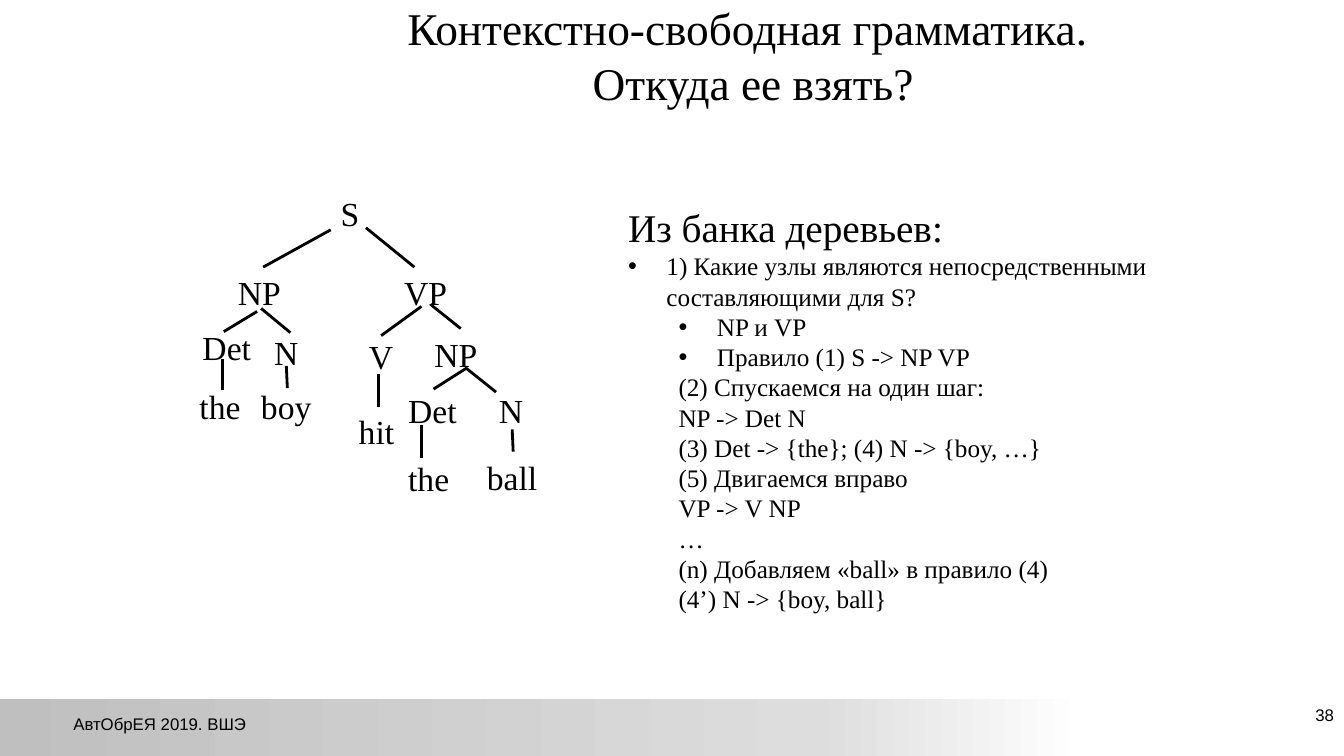
from lxml import etree
from pptx import Presentation
from pptx.dml.color import RGBColor
from pptx.enum import shapes, text
from pptx.oxml import ns
from pptx.util import Inches, Pt

COLORS = {"ink": "000000", "bar_dark": "BFBFBF", "bar_mid": "DDDDDD", "bar_light": "FFFFFF"}
SERIF, SANS = "Times New Roman", "Arial"
TITLE = "Контекстно-свободная грамматика. \vОткуда ее взять?"
FOOTER, PAGE = "АвтОбрЕЯ 2019. ВШЭ", "38"

# style name: level, left margin, first-line indent, bullet, size
STYLES = {
    "heading": (0, 0, 0, False, 28),
    "question": (0, 0.38, -0.38, True, 18),
    "answer": (1, 0.88, -0.38, True, 18),
    "step": (1, 0.5, 0, False, 18),
}
BODY = [
    ("heading", "Из банка деревьев:"),
    ("question", "1) Какие узлы являются непосредственными составляющими для S?"),
    ("answer", "NP и VP"),
    ("answer", "Правило (1) S -> NP VP"),
    ("step", "(2) Спускаемся на один шаг:"),
    ("step", "NP -> Det N"),
    ("step", "(3) Det -> {the}; (4) N -> {boy, …}"),
    ("step", "(5) Двигаемся вправо"),
    ("step", "VP -> V NP"),
    ("step", "…"),
    ("step", "(n) Добавляем «ball» в правило (4)"),
    ("step", "(4’) N -> {boy, ball}"),
]

# label, left, top, width
NODES = [
    ("S", 3.28, 1.86, 0.47),
    ("NP", 2.26, 2.65, 0.71), ("VP", 3.91, 2.65, 0.71),
    ("Det", 1.91, 3.19, 0.71), ("N", 2.62, 3.24, 0.59),
    ("V", 3.56, 3.28, 0.71), ("NP", 4.21, 3.26, 0.71),
    ("the", 1.88, 3.78, 0.75), ("boy", 2.49, 3.78, 0.73),
    ("hit", 3.46, 4.03, 1.1),
    ("Det", 3.95, 3.82, 0.71), ("N", 4.85, 3.82, 0.59),
    ("the", 3.95, 4.49, 0.75), ("ball", 4.73, 4.48, 0.71),
]
# parent end, child end
BRANCHES = [
    ((3.28, 2.28), (2.61, 2.65)), ((3.63, 2.26), (4.11, 2.65)),
    ((2.55, 3.09), (2.22, 3.29)), ((2.59, 3.06), (2.88, 3.3)),
    ((4.18, 3.04), (3.78, 3.33)), ((4.27, 3.02), (4.57, 3.26)),
    ((4.63, 3.65), (4.3, 3.86)), ((4.62, 3.65), (4.92, 3.89)),
    ((2.21, 3.56), (2.21, 3.87)), ((2.84, 3.63), (2.85, 3.85)),
    ((3.75, 3.71), (3.75, 4.04)),
    ((4.18, 4.22), (4.18, 4.54)), ((5.08, 4.26), (5.09, 4.48)),
]
NODE_HEIGHT = 0.51


def color(name):
    return RGBColor.from_string(COLORS[name])


def place(shape, left, top, width, height):
    shape.left, shape.top = Inches(left), Inches(top)
    shape.width, shape.height = Inches(width), Inches(height)


def format_paragraph(paragraph, size, font, align=text.PP_ALIGN.LEFT):
    paragraph.alignment = align
    paragraph.space_before = Pt(0)
    for run in paragraph.runs:
        run.font.size, run.font.name = Pt(size), font
        run.font.color.rgb = color("ink")


def add_label(slide, words, box, size, font, align=text.PP_ALIGN.LEFT,
              anchor=text.MSO_ANCHOR.TOP):
    label = slide.shapes.add_textbox(*map(Inches, box))
    frame = label.text_frame
    frame.word_wrap = True
    frame.vertical_anchor = anchor
    frame.text = words
    format_paragraph(frame.paragraphs[0], size, font, align)


def add_footer_bar(slide):
    bar = slide.shapes.add_shape(shapes.MSO_SHAPE.RECTANGLE,
                                 *map(Inches, (-0.03, 6.93, 10.79, 0.58)))
    bar.shadow.inherit = False
    bar.line.fill.background()
    bar.fill.gradient()
    bar.fill.gradient_angle = 0
    stops = bar.fill._fill._gradFill.find(ns.qn("a:gsLst"))
    for stop in list(stops):
        stops.remove(stop)
    for percent, name in ((0, "bar_dark"), (75, "bar_mid"), (100, "bar_light")):
        stop = etree.SubElement(stops, ns.qn("a:gs"), pos=str(percent * 1000))
        etree.SubElement(stop, ns.qn("a:srgbClr"), val=COLORS[name])


def fill_title(title):
    place(title, 2.97, -0.08, 9, 1.25)
    frame = title.text_frame
    frame.text = TITLE
    frame.auto_size = text.MSO_AUTO_SIZE.NONE
    frame.vertical_anchor = text.MSO_ANCHOR.MIDDLE
    format_paragraph(frame.paragraphs[0], 32.4, SERIF, text.PP_ALIGN.CENTER)


def fill_body(body):
    place(body, 6.13, 1.97, 5.61, 4.21)
    frame = body.text_frame
    frame.text = "\n".join(words for _, words in BODY)
    frame.auto_size = text.MSO_AUTO_SIZE.NONE
    for paragraph, (style, _) in zip(frame.paragraphs, BODY):
        level, margin, indent, bullet, size = STYLES[style]
        paragraph.level = level
        format_paragraph(paragraph, size, SERIF)
        properties = paragraph._p.get_or_add_pPr()
        properties.set("marL", str(Inches(margin)))
        properties.set("indent", str(Inches(indent)))
        if bullet:
            etree.SubElement(properties, ns.qn("a:buFont"), typeface=SANS)
            etree.SubElement(properties, ns.qn("a:buChar"), char="•")
        else:
            etree.SubElement(properties, ns.qn("a:buNone"))


def add_tree(slide):
    for words, left, top, width in NODES:
        add_label(slide, words, (left, top, width, NODE_HEIGHT), 24, SERIF)
    for start, end in BRANCHES:
        branch = slide.shapes.add_connector(shapes.MSO_CONNECTOR.STRAIGHT,
                                            *map(Inches, start + end))
        branch.line.color.rgb = color("ink")
        branch.line.width = Pt(2)
        etree.SubElement(branch._element.spPr, ns.qn("a:effectLst"))


def main():
    presentation = Presentation()
    presentation.slide_width, presentation.slide_height = Inches(13.33), Inches(7.5)
    slide = presentation.slides.add_slide(presentation.slide_layouts[1])
    add_footer_bar(slide)
    fill_title(slide.shapes.title)
    fill_body(slide.placeholders[1])
    middle = text.MSO_ANCHOR.MIDDLE
    add_label(slide, PAGE, (10.22, 6.83, 3.11, 0.52), 12, SANS, text.PP_ALIGN.RIGHT, middle)
    add_label(slide, FOOTER, (0, 6.92, 3.17, 0.52), 12, SANS, text.PP_ALIGN.CENTER, middle)
    add_tree(slide)
    presentation.save("out.pptx")


if __name__ == "__main__":
    main()
